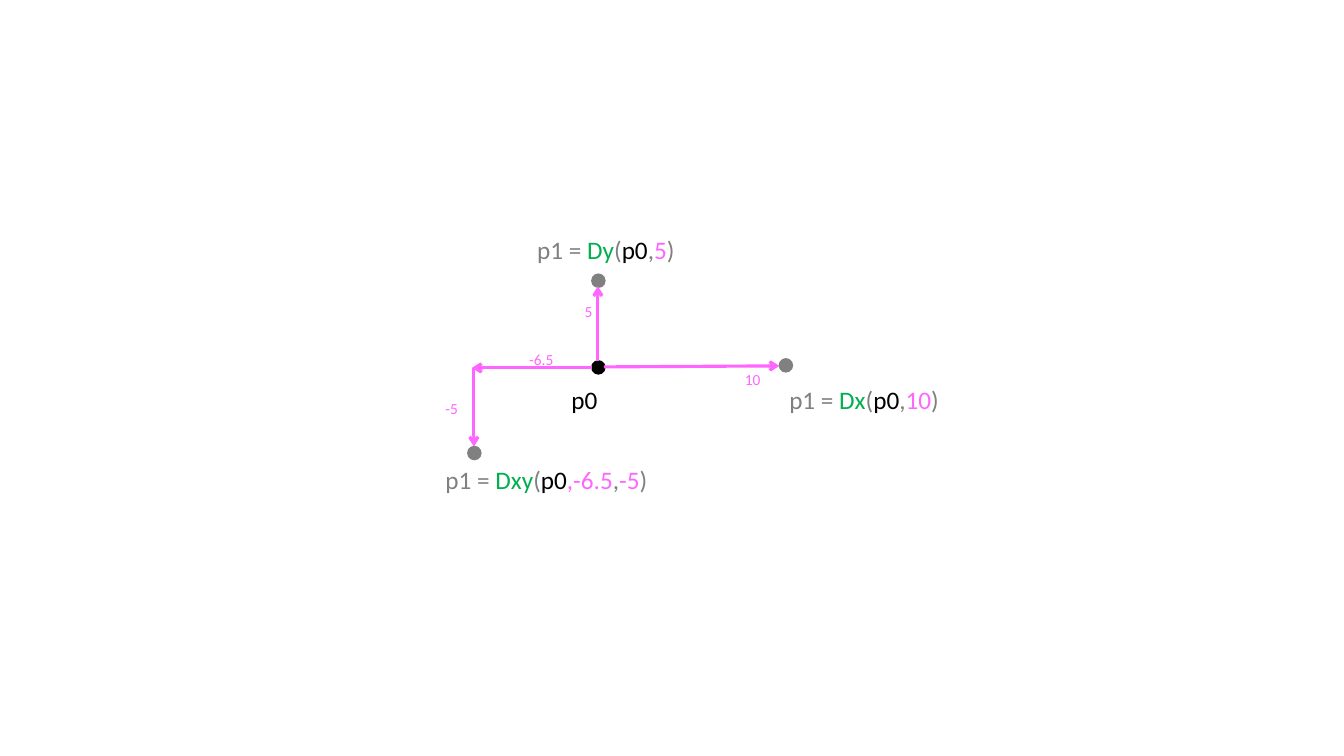
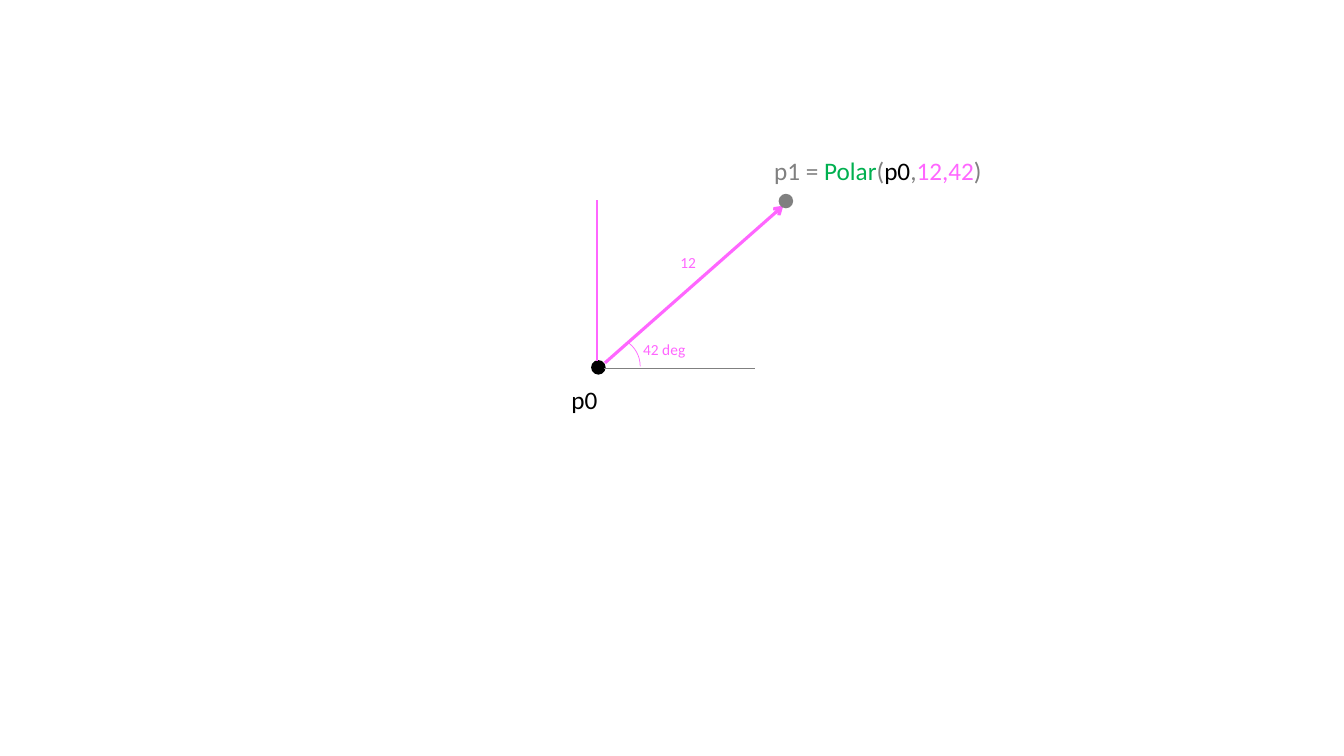
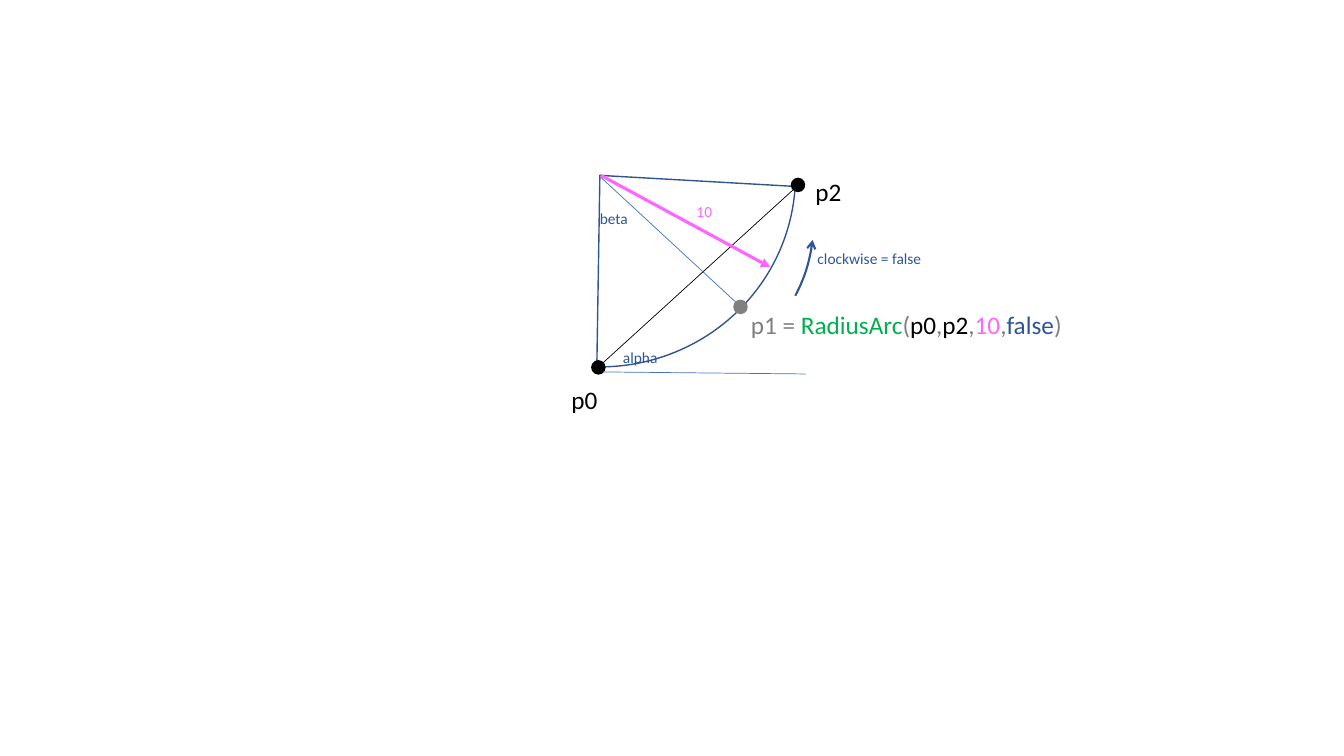
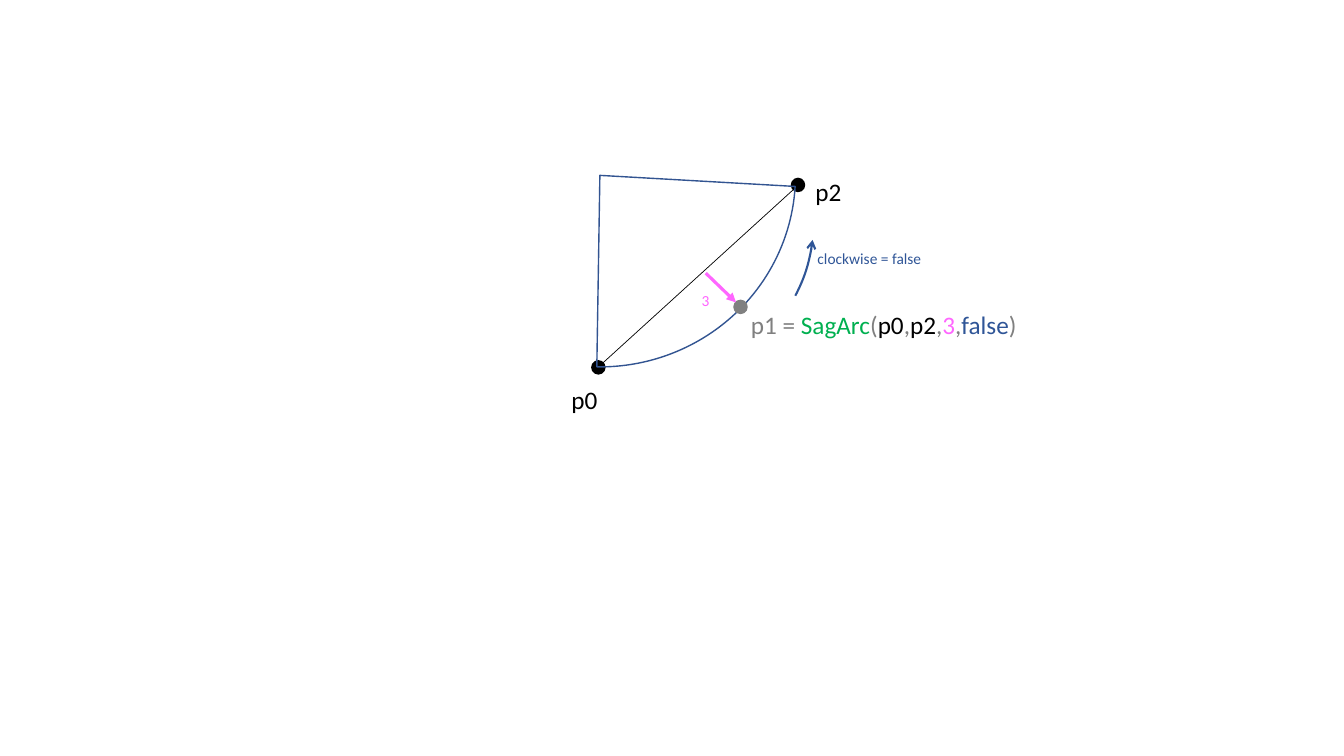
from dataclasses import dataclass
from typing import NamedTuple

from lxml.etree import SubElement
from pptx import Presentation
from pptx.dml.color import RGBColor
from pptx.enum.shapes import MSO_CONNECTOR, MSO_SHAPE
from pptx.enum.text import MSO_AUTO_SIZE
from pptx.oxml.ns import qn
from pptx.shapes.autoshape import Shape
from pptx.slide import Slide
from pptx.util import Inches, Pt

BLACK = RGBColor(0x00, 0x00, 0x00)
GRAY = RGBColor(0x80, 0x80, 0x80)
PINK = RGBColor(0xFF, 0x66, 0xFF)
GREEN = RGBColor(0x00, 0xB0, 0x50)
BLUE = RGBColor(0x2F, 0x55, 0x97)
PIE_BLUE = RGBColor(0x32, 0x54, 0x91)
GUIDE_BLUE = RGBColor(0x44, 0x72, 0xC4)

FONT = "Calibri"
NAME_PT, NOTE_PT = 18, 11
LABEL_HEIGHT = {NAME_PT: 0.4, NOTE_PT: 0.29}
DOT_SIZE = 0.13
ARROW_PT = 2.25
BLANK_LAYOUT = 6


class Span(NamedTuple):
    text: str
    color: RGBColor


P0 = Span("p0", BLACK)
P2 = Span("p2", BLACK)
COMMA = Span(",", GRAY)
FALSE = Span("false", BLUE)


@dataclass(frozen=True)
class Dot:
    left: float
    top: float
    color: RGBColor = GRAY


@dataclass(frozen=True)
class Label:
    left: float
    top: float
    width: float
    spans: tuple[Span, ...]
    size: int = NAME_PT


@dataclass(frozen=True)
class Line:
    x1: float
    y1: float
    x2: float
    y2: float
    color: RGBColor = PINK
    width: float = ARROW_PT
    arrow: str = ""


@dataclass(frozen=True)
class Sector:
    """Part of an ellipse, clockwise from start to end in degrees."""
    kind: MSO_SHAPE
    left: float
    top: float
    width: float
    height: float
    start: float
    end: float
    color: RGBColor
    line_width: float
    start_arrow: str = ""


Item = Dot | Label | Line | Sector


def note(left: float, top: float, width: float, text: str,
         color: RGBColor = PINK) -> Label:
    return Label(left, top, width, (Span(text, color),), NOTE_PT)


def formula(left: float, top: float, width: float, name: str,
            *args: Span) -> Label:
    spans = (Span("p1 = ", GRAY), Span(name, GREEN), Span("(", GRAY),
             *args, Span(")", GRAY))
    return Label(left, top, width, spans)


def add_arrowhead(sp: Shape, end: str, kind: str) -> None:
    """Put an arrowhead on the headEnd or tailEnd of an outline."""
    ln = sp._element.spPr.find(qn("a:ln"))
    SubElement(ln, qn(f"a:{end}"), type=kind)


def draw_dot(slide: Slide, dot: Dot) -> None:
    size = Inches(DOT_SIZE)
    sp = slide.shapes.add_shape(MSO_SHAPE.OVAL, Inches(dot.left),
                                Inches(dot.top), size, size)
    sp.shadow.inherit = False
    sp.fill.solid()
    sp.fill.fore_color.rgb = dot.color
    sp.line.color.rgb = dot.color
    sp.line.width = Pt(1)


def draw_label(slide: Slide, label: Label) -> None:
    box = slide.shapes.add_textbox(
        Inches(label.left), Inches(label.top), Inches(label.width),
        Inches(LABEL_HEIGHT[label.size]))
    tf = box.text_frame
    tf.word_wrap = False
    tf.auto_size = MSO_AUTO_SIZE.SHAPE_TO_FIT_TEXT
    p = tf.paragraphs[0]
    p.font.name = FONT
    p.font.size = Pt(label.size)
    for span in label.spans:
        r = p.add_run()
        r.text = span.text
        r.font.color.rgb = span.color


def draw_line(slide: Slide, line: Line) -> None:
    cxn = slide.shapes.add_connector(
        MSO_CONNECTOR.STRAIGHT, Inches(line.x1), Inches(line.y1),
        Inches(line.x2), Inches(line.y2))
    cxn.line.color.rgb = line.color
    cxn.line.width = Pt(line.width)
    if line.arrow:
        add_arrowhead(cxn, "tailEnd", line.arrow)
    SubElement(cxn._element.spPr, qn("a:effectLst"))


def draw_sector(slide: Slide, sector: Sector) -> None:
    sp = slide.shapes.add_shape(
        sector.kind, Inches(sector.left), Inches(sector.top),
        Inches(sector.width), Inches(sector.height))
    for i, degrees in enumerate((sector.start, sector.end)):
        sp.adjustments[i] = degrees * 60000 / 100000
    sp.shadow.inherit = False
    sp.fill.background()
    sp.line.color.rgb = sector.color
    sp.line.width = Pt(sector.line_width)
    if sector.start_arrow:
        add_arrowhead(sp, "headEnd", sector.start_arrow)


DRAW = {Dot: draw_dot, Label: draw_label, Line: draw_line, Sector: draw_sector}

ORIGIN = (Dot(5.87, 3.58, BLACK), Label(5.57, 3.76, 0.46, (P0,)))
PIE = Sector(MSO_SHAPE.PIE, 4.01, -0.16, 3.88, 3.8, 3.25, 90.91, PIE_BLUE, 1)
CHORD = (
    *ORIGIN,
    Dot(7.85, 1.77, BLACK),
    Label(7.99, 1.7, 0.46, (P2,)),
    Line(5.98, 3.6, 7.87, 1.88, BLACK, 0.5),
)
ARC_RESULT = (
    Dot(7.28, 2.98),
    Sector(MSO_SHAPE.ARC, 4.13, 0.45, 3.94, 3.5, 5.27, 22.31, BLUE, 1.5, "arrow"),
    note(8.01, 2.42, 1.24, "clockwise = false", BLUE),
)


def arc_formula(width: float, name: str, length: str) -> Label:
    return formula(7.35, 3.02, width, name, P0, COMMA, P2, COMMA,
                   Span(length, PINK), COMMA, FALSE)


OFFSETS: tuple[Item, ...] = (
    *ORIGIN,
    Dot(4.64, 4.43),
    Dot(5.87, 2.72),
    Dot(7.73, 3.56),
    Line(5.99, 3.64, 7.73, 3.63, arrow="arrow"),
    Line(5.93, 3.58, 5.93, 2.84, arrow="arrow"),
    Line(4.7, 3.65, 4.7, 4.43, arrow="arrow"),
    Line(5.87, 3.65, 4.68, 3.65, arrow="arrow"),
    note(7.29, 3.62, 0.36, "10"),
    note(5.7, 2.95, 0.28, "5"),
    note(5.15, 3.42, 0.45, "-6.5"),
    note(4.32, 3.91, 0.33, "-5"),
    formula(7.73, 3.76, 1.7, "Dx", P0, COMMA, Span("10", PINK)),
    formula(5.23, 2.28, 1.58, "Dy", P0, COMMA, Span("5", PINK)),
    formula(4.32, 4.56, 2.23, "Dxy", P0, Span(",-6.5", PINK), COMMA,
            Span("-5", PINK)),
)

POLAR: tuple[Item, ...] = (
    *ORIGIN,
    Line(6, 3.6, 7.77, 2.04, arrow="arrow"),
    Dot(7.73, 1.93),
    note(6.65, 2.46, 0.36, "12"),
    formula(7.58, 1.49, 2.28, "Polar", P0, COMMA, Span("12,42", PINK)),
    Line(5.99, 3.65, 7.49, 3.65, GRAY, 0.5),
    Line(5.92, 3.58, 5.92, 1.98, width=1),
    Sector(MSO_SHAPE.ARC, 5.8, 3.35, 0.55, 0.57, 302.03, 0, PINK, 0.5),
    note(6.28, 3.32, 0.62, "42 deg"),
)

RADIUS_ARC: tuple[Item, ...] = (
    PIE,
    *CHORD,
    arc_formula(3.32, "RadiusArc", "10"),
    note(6.81, 1.96, 0.36, "10"),
    *ARC_RESULT,
    Line(5.96, 1.74, 7.64, 2.65, arrow="triangle"),
    Line(5.98, 3.69, 7.99, 3.71, GUIDE_BLUE, 0.5),
    note(6.08, 3.4, 0.55, "alpha", BLUE),
    Line(5.96, 1.76, 7.3, 3, GUIDE_BLUE, 0.5),
    note(5.85, 2.03, 0.48, "beta", BLUE),
)

SAG_ARC: tuple[Item, ...] = (
    *CHORD,
    PIE,
    arc_formula(2.87, "SagArc", "3"),
    note(6.86, 2.84, 0.28, "3"),
    *ARC_RESULT,
    Line(7, 2.71, 7.3, 3, arrow="triangle"),
)


def main() -> None:
    prs = Presentation()
    prs.slide_width = Inches(13.33)
    prs.slide_height = Inches(7.5)
    for items in (OFFSETS, POLAR, RADIUS_ARC, SAG_ARC):
        slide = prs.slides.add_slide(prs.slide_layouts[BLANK_LAYOUT])
        for item in items:
            DRAW[type(item)](slide, item)
    prs.save("out.pptx")


if __name__ == "__main__":
    main()
